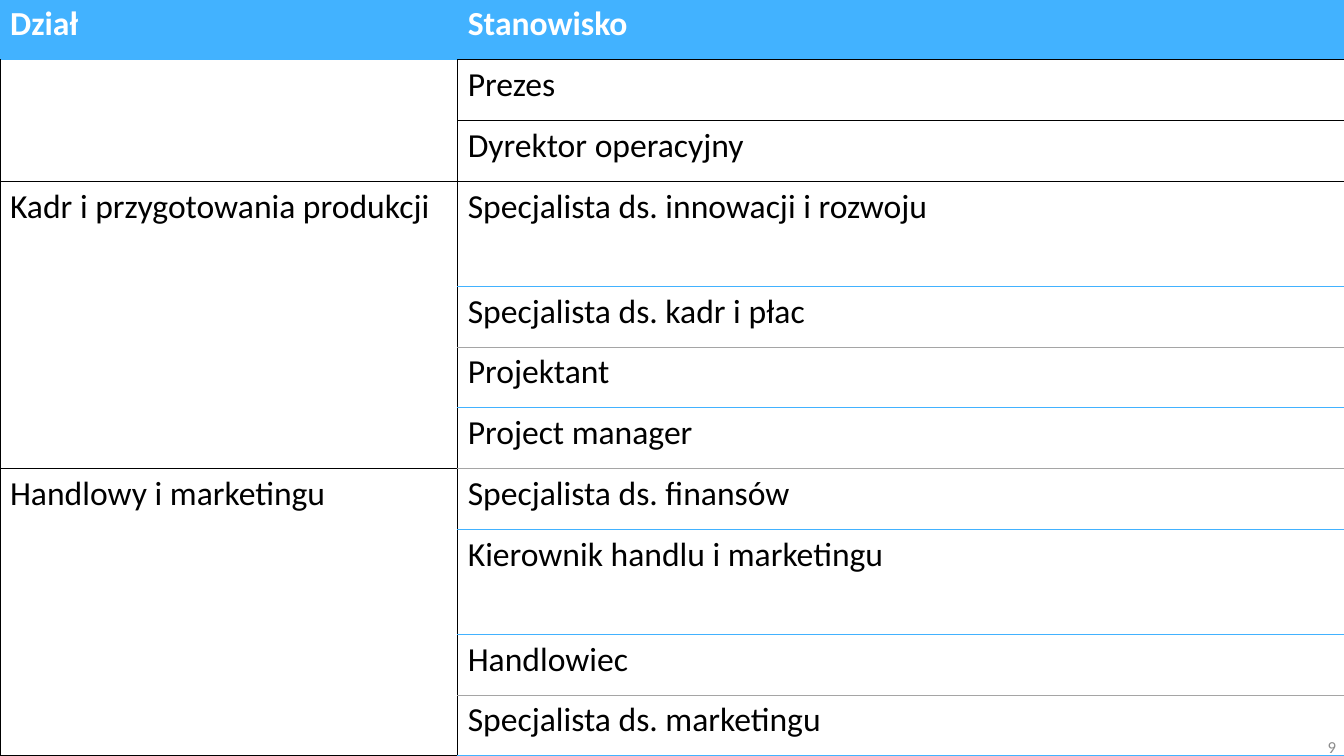
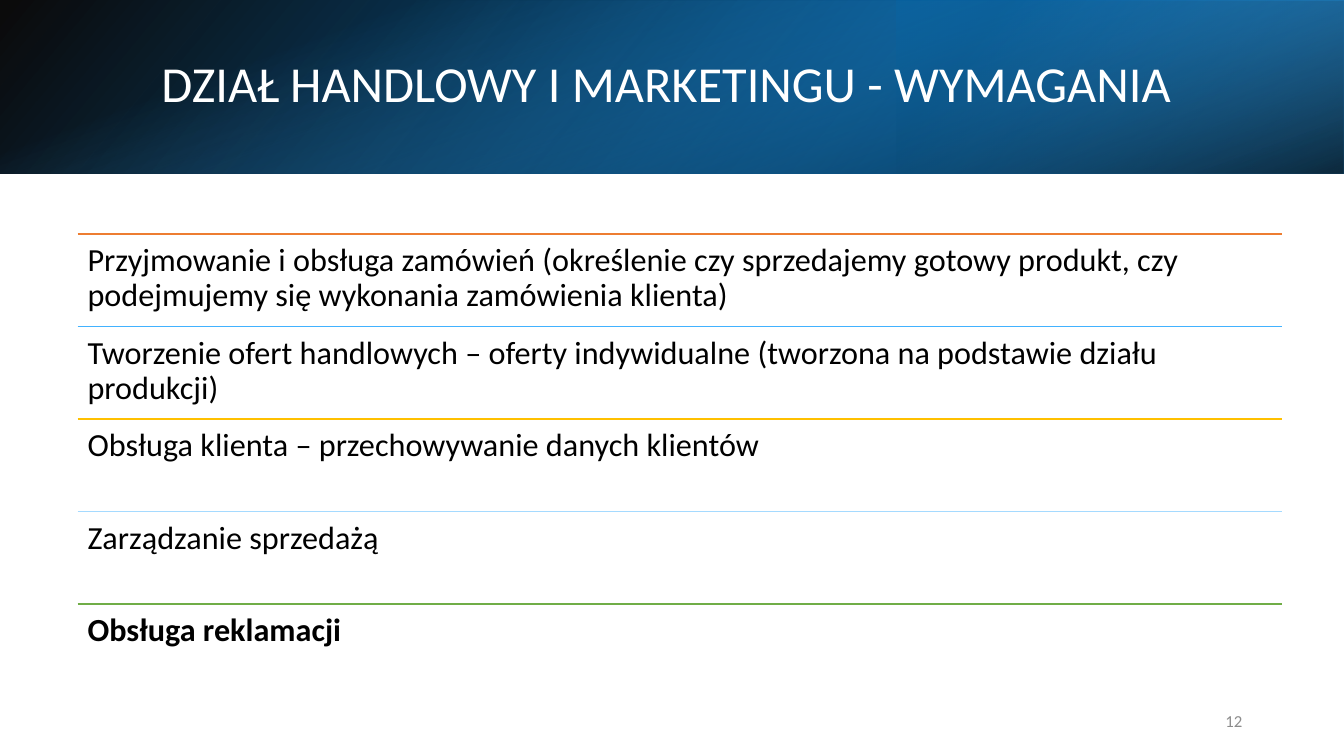
import pptx
import pptx.util
import pptx.dml.color
import pptx.enum.shapes
import pptx.enum.text
import pptx.oxml
import pptx.oxml.ns
import lxml.etree

Inches = pptx.util.Inches
Pt = pptx.util.Pt
ANCHOR = pptx.enum.text.MSO_ANCHOR
ALIGN = pptx.enum.text.PP_ALIGN


class Theme:
    font = "Calibri"
    white, black, blue = "FFFFFF", "000000", "42B2FF"
    gray, muted = "A5A5A5", "8C8C8C"
    orange, gold, pale, green = "ED7D31", "FFC000", "A5DAFF", "70AD47"
    deep, vivid = "005FA0", "008FF1"
    title, cell, item, page = 36, 24, 23, 12


# Content: roles carry the colour of the rule below them
HEAD = ("Dział", "Stanowisko")
TEAMS = [
    ("", [("Prezes", Theme.black), ("Dyrektor operacyjny", Theme.black)]),
    ("Kadr i przygotowania produkcji", [
        ("Specjalista ds. innowacji i rozwoju", Theme.blue),
        ("Specjalista ds. kadr i płac", Theme.gray),
        ("Projektant", Theme.blue),
        ("Project manager", Theme.gray)]),
    ("Handlowy i marketingu", [
        ("Specjalista ds. finansów", Theme.blue),
        ("Kierownik handlu i marketingu", Theme.blue),
        ("Handlowiec", Theme.gray),
        ("Specjalista ds. marketingu", Theme.blue)]),
]
TALL = {3: 1.04, 8: 1.04}  # row heights that differ
TITLE = "DZIAŁ HANDLOWY I MARKETINGU - WYMAGANIA"
NEEDS = [
    ("Przyjmowanie i obsługa zamówień (określenie czy sprzedajemy gotowy "
     "produkt, czy podejmujemy się wykonania zamówienia klienta)",
     Theme.orange, False),
    ("Tworzenie ofert handlowych – oferty indywidualne (tworzona na "
     "podstawie działu produkcji)", Theme.blue, False),
    ("Obsługa klienta – przechowywanie danych klientów", Theme.gold, False),
    ("Zarządzanie sprzedażą", Theme.pale, False),
    ("Obsługa reklamacji", Theme.green, True),
]
# Band layers: box, turn, flip, angle, stops of (place, colour, opacity)
BANDS = [
    ((0, 0, 13.33, 1.72), 0, True, 140,
     [(0, Theme.black, 96), (100, Theme.vivid, 100)]),
    ((8.89, 0, 4.44, 1.72), 180, True, 320,
     [(19, Theme.deep, 68), (100, Theme.blue, 79)]),
    ((5.8, -5.8, 1.72, 13.33), 90, False, 340,
     [(23, Theme.blue, 0), (99, Theme.black, 74)]),
]


# Shared helpers
def rgb(tone):
    return pptx.dml.color.RGBColor.from_string(tone)


def write(frame, text, size, tone, bold=False):
    frame.text = text
    para = frame.paragraphs[0]
    font = para.font
    font.name, font.size, font.bold = Theme.font, Pt(size), bold
    font.color.rgb = rgb(tone)
    return para


def number(slide, text, left, top):
    box = slide.shapes.add_textbox(
        Inches(left), Inches(top), Inches(3), Inches(0.4))
    box.text_frame.word_wrap = True
    box.text_frame.vertical_anchor = ANCHOR.MIDDLE
    write(box.text_frame, text, Theme.page, Theme.muted).alignment = ALIGN.RIGHT


def border(cell, sides):
    """Draw the given sides: {side: (colour, points)}."""
    props = cell._tc.get_or_add_tcPr()
    for side in "LRTB":
        if side in sides:
            tone, width = sides[side]
            props.append(pptx.oxml.parse_xml(
                f'<a:ln{side} {pptx.oxml.ns.nsdecls("a")} w="{Pt(width)}">'
                f'<a:solidFill><a:srgbClr val="{tone}"/></a:solidFill>'
                f'</a:ln{side}>'))


def blend(shape, angle, stops):
    """Fill a shape with a linear gradient that may be see-through."""
    marks = "".join(
        f'<a:gs pos="{place * 1000}"><a:srgbClr val="{tone}">'
        f'<a:alpha val="{alpha * 1000}"/></a:srgbClr></a:gs>'
        for place, tone, alpha in stops)
    fill = pptx.oxml.parse_xml(
        f'<a:gradFill {pptx.oxml.ns.nsdecls("a")} rotWithShape="1">'
        f'<a:gsLst>{marks}</a:gsLst>'
        f'<a:lin ang="{angle * 60000}" scaled="0"/></a:gradFill>')
    shape._element.spPr.find(pptx.oxml.ns.qn("a:prstGeom")).addnext(fill)


# Slide with the table of posts
def posts(deck):
    slide = deck.slides.add_slide(deck.slide_layouts[6])
    count = 1 + sum(len(roles) for _, roles in TEAMS)
    high = 7.51
    grid = slide.shapes.add_table(
        count, 2, Inches(0), Inches(-0.01), Inches(13.37), Inches(high)).table
    grid.horz_banding = False
    grid.columns[0].width, grid.columns[1].width = Inches(4.54), Inches(8.83)
    short = (high - sum(TALL.values())) / (count - len(TALL))
    for row, line in enumerate(grid.rows):
        line.height = Inches(TALL.get(row, short))

    def put(row, col, text, sides, head=False):
        cell = grid.cell(row, col)
        border(cell, sides)
        cell.fill.solid()
        cell.fill.fore_color.rgb = rgb(Theme.blue if head else Theme.white)
        write(cell.text_frame, text, Theme.cell,
              Theme.white if head else Theme.black, head)

    def edge(tone):
        return tone, 1 if tone == Theme.black else 0.5

    dark, thin = edge(Theme.black), edge(Theme.blue)
    put(0, 0, HEAD[0], dict.fromkeys("LRTB", thin), True)
    put(0, 1, HEAD[1], {"L": thin, "R": thin, "T": thin, "B": dark}, True)
    row, above, roof = 1, dark, thin
    for team, roles in TEAMS:
        last = row + len(roles) - 1
        grid.cell(row, 0).merge(grid.cell(last, 0))
        side = {"L": dark, "R": dark, "T": roof, "B": dark}
        put(row, 0, team, side)
        for role, tone in roles:
            below = edge(tone)
            put(row, 1, role, {"L": dark, "R": thin, "T": above, "B": below})
            above = below
            row += 1
        border(grid.cell(last, 0), {"R": dark, "B": dark})
        roof = dark
    number(slide, "9", 10.35, 7.21)


# Slide with the list of needs
def needs(deck):
    slide = deck.slides.add_slide(deck.slide_layouts[5])
    shapes = slide.shapes
    for box, turn, flip, angle, stops in BANDS:
        band = shapes.add_shape(
            pptx.enum.shapes.MSO_SHAPE.RECTANGLE, *map(Inches, box))
        band.shadow.inherit = False
        band.line.fill.background()
        band.rotation = turn
        if flip:
            band._element.spPr.xfrm.set("flipH", "1")
        blend(band, angle, stops)

    # Title goes in front of the band
    title = shapes.title
    title.left, title.top = Inches(1.5), Inches(0.38)
    title.width, title.height = Inches(10.98), Inches(0.96)
    frame = title.text_frame
    frame.word_wrap, frame.vertical_anchor = True, ANCHOR.MIDDLE
    para = write(frame, TITLE, Theme.title, Theme.white)
    para.alignment, para.line_spacing = ALIGN.LEFT, 0.9
    title._element.getparent().append(title._element)

    # Ruled list
    left, top, wide = 0.77, 2.32, 11.95
    step = 4.59 / len(NEEDS)
    for place, (text, tone, bold) in enumerate(NEEDS):
        y = Inches(top + place * step)
        rule = shapes.add_connector(
            pptx.enum.shapes.MSO_CONNECTOR.STRAIGHT,
            Inches(left), y, Inches(left + wide), y)
        rule.line.color.rgb, rule.line.width = rgb(tone), Pt(1)
        lxml.etree.SubElement(
            rule._element.spPr, pptx.oxml.ns.qn("a:effectLst"))
        box = shapes.add_textbox(Inches(left), y, Inches(wide), Inches(step))
        frame = box.text_frame
        frame.word_wrap = True
        frame.margin_left = frame.margin_right = Inches(0.1)
        frame.margin_top = frame.margin_bottom = Inches(0.1)
        write(frame, text, Theme.item, Theme.black, bold).line_spacing = 0.9
    number(slide, "12", 9.42, 6.95)


def main():
    deck = pptx.Presentation()
    deck.slide_width, deck.slide_height = Inches(13.33), Inches(7.5)
    posts(deck)
    needs(deck)
    deck.save("out.pptx")


if __name__ == "__main__":
    main()
